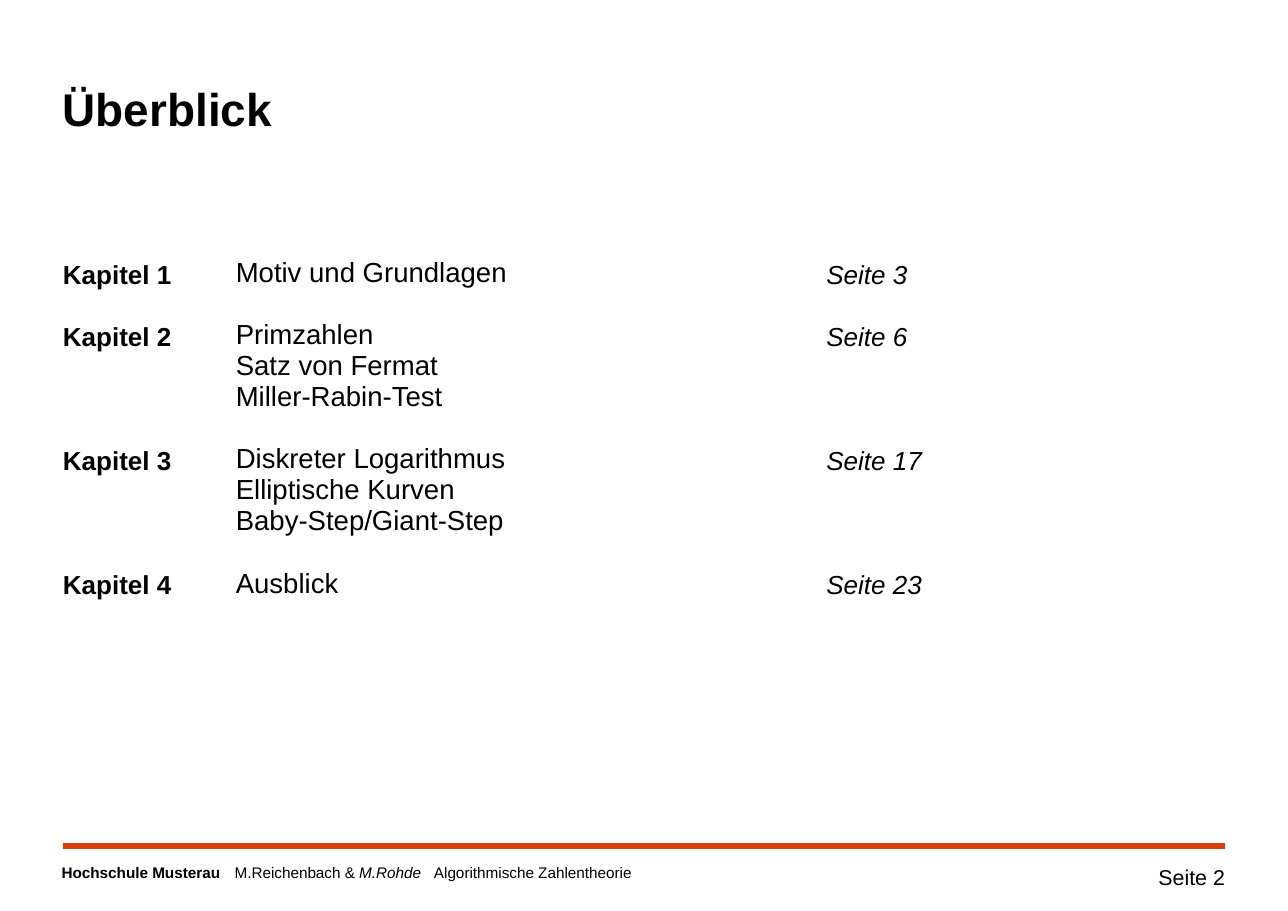
from dataclasses import dataclass

from lxml.etree import SubElement
from pptx import Presentation
from pptx.dml.color import RGBColor
from pptx.enum.shapes import MSO_CONNECTOR as Connector
from pptx.enum.text import MSO_ANCHOR as Anchor, PP_ALIGN as Align
from pptx.oxml.ns import qn
from pptx.slide import Slide
from pptx.text.text import TextFrame, _Paragraph as Paragraph
from pptx.util import Inches, Pt

BLACK = RGBColor(0x00, 0x00, 0x00)
ORANGE = RGBColor(0xDC, 0x3C, 0x05)
FONT = "Arial"
WIDTH, HEIGHT = Inches(11.69), Inches(8.27)
MARGIN, CONTENT_WIDTH = 4.88, 90.25
RULE_TOP, FOOTER_TOP, FOOTER_HEIGHT = 92.87, 94.8, 2.9
TABLE_TOP = 28.3
TABLE_COLUMNS = (13.43, 45.85, 19.5)
FIRST_ROW, NEXT_ROW = 6.77, 13.66
FOOTER_TABS = (13.43, 28.91)


@dataclass(frozen=True)
class Chapter:
    label: str
    topics: tuple[str, ...]
    page: str


@dataclass(frozen=True)
class FooterPart:
    text: str
    bold: bool = False
    italic: bool = False


CHAPTERS = (
    Chapter("Kapitel 1", ("Motiv und Grundlagen",), "Seite 3"),
    Chapter("Kapitel 2", ("Primzahlen", "Satz von Fermat", "Miller-Rabin-Test"), "Seite 6"),
    Chapter("Kapitel 3", ("Diskreter Logarithmus", "Elliptische Kurven", "Baby-Step/Giant-Step"), "Seite 17"),
    Chapter("Kapitel 4", ("Ausblick",), "Seite 23"),
)
FOOTER = (
    FooterPart("Hochschule Musterau", bold=True),
    FooterPart("\tM.Reichenbach & "),
    FooterPart("M.Rohde", italic=True),
    FooterPart("\tAlgorithmische Zahlentheorie"),
)


def across(percent: float) -> int:
    return round(WIDTH * percent / 100)


def down(percent: float) -> int:
    return round(HEIGHT * percent / 100)


def style(paragraph: Paragraph, size: float, bold: bool = False, italic: bool = False) -> None:
    font = paragraph.font
    font.name, font.size, font.bold, font.italic = FONT, Pt(size), bold, italic
    font.color.rgb = BLACK


def clear_margins(frame: TextFrame) -> None:
    frame.word_wrap = True
    frame.margin_left = frame.margin_right = frame.margin_top = frame.margin_bottom = 0


def add_title(slide: Slide, text: str) -> None:
    title = slide.shapes.title
    title.left, title.top = across(MARGIN), down(8.83)
    title.width, title.height = across(CONTENT_WIDTH), down(12.58)
    frame = title.text_frame
    clear_margins(frame)
    frame.vertical_anchor = Anchor.TOP
    frame.text = text
    frame.paragraphs[0].alignment = Align.LEFT
    style(frame.paragraphs[0], 30, bold=True)


def add_overview(slide: Slide, chapters: tuple[Chapter, ...]) -> None:
    heights = [FIRST_ROW] + [NEXT_ROW] * (len(chapters) - 1)
    table = slide.shapes.add_table(
        len(chapters), len(TABLE_COLUMNS), across(MARGIN), down(TABLE_TOP),
        across(sum(TABLE_COLUMNS)), down(sum(heights)),
    ).table
    table.first_row = table.horz_banding = False
    for column, width in zip(table.columns, TABLE_COLUMNS):
        column.width = across(width)
    for row, height, chapter in zip(table.rows, heights, chapters):
        row.height = down(height)
        label, topics, page = row.cells
        label.text, topics.text, page.text = chapter.label, "\n".join(chapter.topics), chapter.page
        for cell in row.cells:
            cell.fill.background()
            cell.margin_left = cell.margin_right = cell.margin_top = cell.margin_bottom = 0
        for paragraph in topics.text_frame.paragraphs:
            style(paragraph, 18)
        for cell in (label, page):
            paragraph = cell.text_frame.paragraphs[0]
            paragraph.line_spacing = 1.1
            style(paragraph, 17, bold=cell is label, italic=cell is page)


def add_rule(slide: Slide) -> None:
    rule = slide.shapes.add_connector(
        Connector.STRAIGHT, across(MARGIN), down(RULE_TOP),
        across(MARGIN + CONTENT_WIDTH), down(RULE_TOP),
    )
    rule.line.color.rgb = ORANGE
    rule.line.width = Pt(4)
    SubElement(rule._element.spPr, qn("a:effectLst"))


def add_footer_box(slide: Slide, left: float, width: float, size: float) -> Paragraph:
    box = slide.shapes.add_textbox(across(left), down(FOOTER_TOP), across(width), down(FOOTER_HEIGHT))
    clear_margins(box.text_frame)
    paragraph = box.text_frame.paragraphs[0]
    style(paragraph, size)
    return paragraph


def add_footer(slide: Slide, parts: tuple[FooterPart, ...], page: str) -> None:
    credit = add_footer_box(slide, 4.79, 72.2, 10)
    tab_list = SubElement(credit._p.get_or_add_pPr(), qn("a:tabLst"))
    credit._p.pPr.insert(0, tab_list)
    for position in FOOTER_TABS:
        SubElement(tab_list, qn("a:tab"), pos=str(across(position)), algn="l")
    for part in parts:
        run = credit.add_run()
        run.text = part.text
        run.font.bold, run.font.italic = part.bold, part.italic
    number = add_footer_box(slide, 83.66, 11.46, 14)
    number.text = page
    number.alignment = Align.RIGHT


def main() -> None:
    presentation = Presentation()
    presentation.slide_width, presentation.slide_height = WIDTH, HEIGHT
    slide = presentation.slides.add_slide(presentation.slide_layouts[5])
    add_title(slide, "Überblick")
    add_overview(slide, CHAPTERS)
    add_rule(slide)
    add_footer(slide, FOOTER, "Seite 2")
    presentation.save("out.pptx")


if __name__ == "__main__":
    main()
